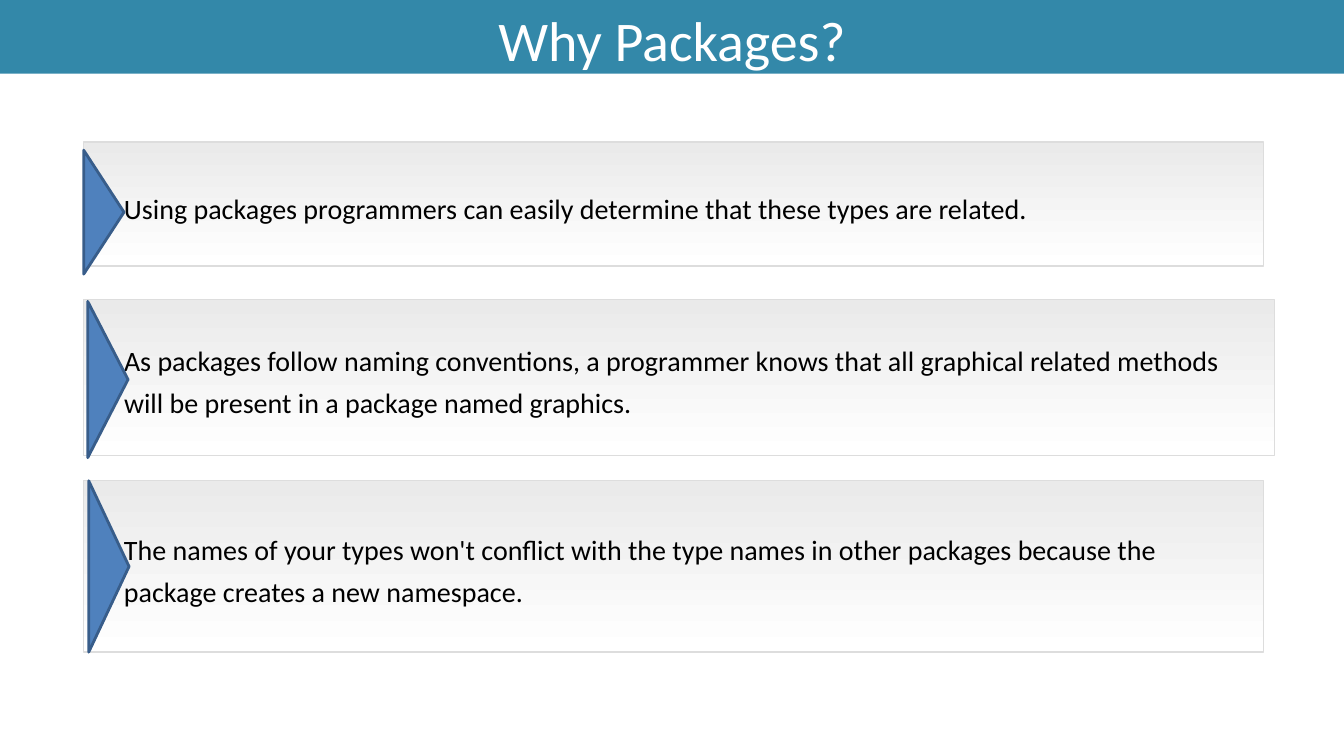
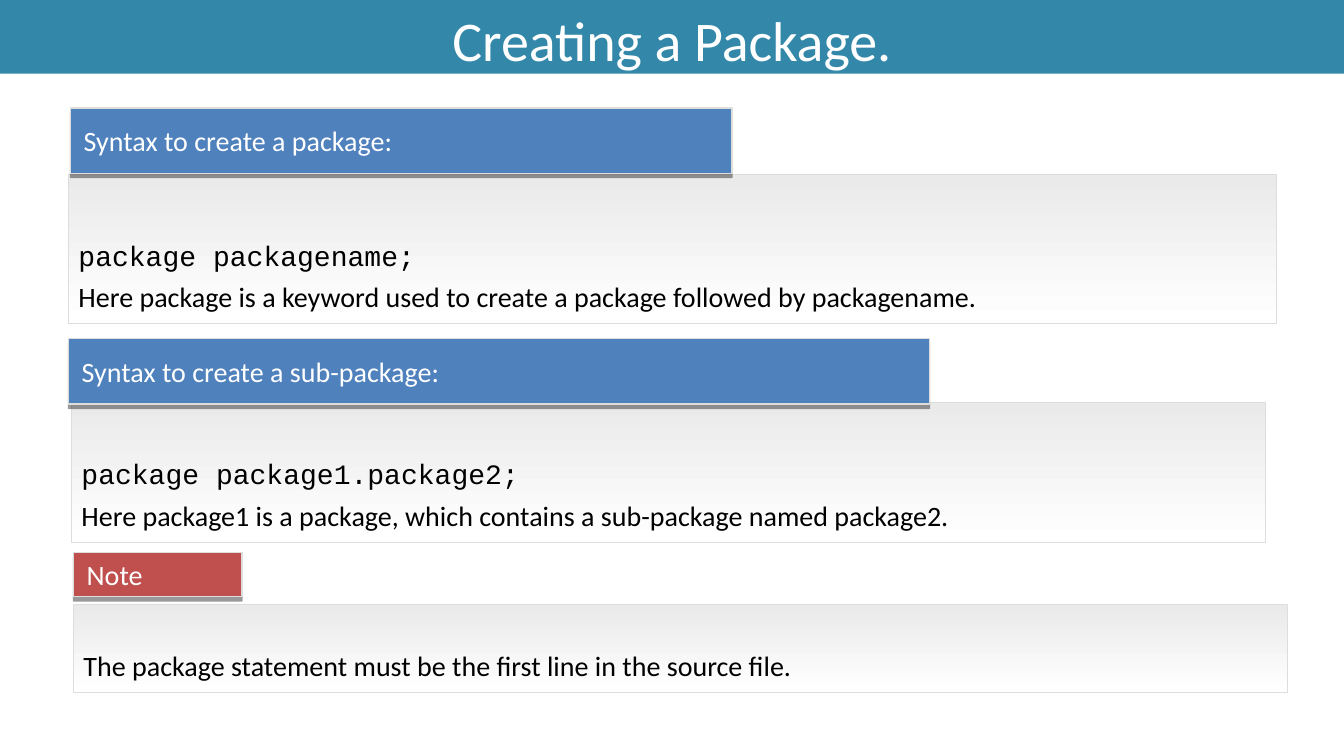
from lxml import etree
from pptx import Presentation
from pptx.dml.color import RGBColor
from pptx.enum.shapes import MSO_SHAPE
from pptx.enum.text import MSO_ANCHOR, MSO_AUTO_SIZE, PP_ALIGN
from pptx.oxml.ns import qn
from pptx.util import Emu, Pt

RECT, TRIANGLE = MSO_SHAPE.RECTANGLE, MSO_SHAPE.ISOSCELES_TRIANGLE
MIDDLE, BOTTOM = MSO_ANCHOR.MIDDLE, MSO_ANCHOR.BOTTOM
LEFT, CENTER = PP_ALIGN.LEFT, PP_ALIGN.CENTER
NO_AUTOFIT = MSO_AUTO_SIZE.NONE

EMU_PER_PX = 9144  # 100 px to the inch
SLIDE_W, SLIDE_H, BAND_H = 1333, 750, 73
TITLE_ONLY = 5

TEAL, BLUE, NAVY, RED = "3388A9", "4F81BD", "385D8A", "C0504D"
WHITE, BLACK, PALE, GREY = "FFFFFF", "000000", "EAEAEA", "DDDDDD"
SANS, MONO = "Calibri", "Courier New"
LINE_SPACING = Pt(29.9)
ARROW_W = 40

# box (left, top, width, height), arrow offset (x, y), text
REASONS = [
    ((83, 141, 1170, 123), (0, 8),
     "Using packages programmers can easily determine that these types are related."),
    ((83, 297, 1181, 155), (4, 2),
     "As packages follow naming conventions, a programmer knows that all graphical "
     "related methods will be present in a package named graphics."),
    ((83, 477, 1170, 170), (5, 0),
     "The names of your types won't conflict with the type names in other packages "
     "because the package creates a new namespace."),
]

# label box, label colour, label, card box, card lines with their fonts
SECTIONS = [
    ((70, 107, 656, 65), BLUE, "Syntax to create a package:", (68, 173, 1198, 148),
     [("package packagename;", MONO),
      ("Here package is a keyword used to create a package followed by packagename.", SANS)]),
    ((68, 336, 854, 65), BLUE, "Syntax to create a sub-package:", (71, 399, 1184, 139),
     [("package package1.package2;", MONO),
      ("Here package1 is a package, which contains a sub-package named package2.", SANS)]),
    ((73, 548, 167, 44), RED, "Note", (73, 600, 1204, 87),
     [("The package statement must be the first line in the source file.", SANS)]),
]


def px(n):
    return Emu(round(n * EMU_PER_PX))


def rgb(color):
    return RGBColor.from_string(color)


def set_solid(sp, color):
    sp.fill.solid()
    sp.fill.fore_color.rgb = rgb(color)


def set_gradient(sp, top, bottom):
    sp.fill.gradient()
    sp.fill.gradient_angle = 270
    for stop, color in zip(sp.fill.gradient_stops, (top, bottom)):
        stop.color.rgb = rgb(color)


def set_text(sp, lines, color, size=20, insets=(0, 0, 0, 0), anchor=MIDDLE,
             align=LEFT, spacing=None):
    """Fill a shape with (text, font) lines; insets are left, top, right, bottom."""
    tf = sp.text_frame
    frame = {"word_wrap": True, "auto_size": NO_AUTOFIT, "vertical_anchor": anchor}
    sides = ("margin_left", "margin_top", "margin_right", "margin_bottom")
    frame.update(zip(sides, map(px, insets)))
    for name, value in frame.items():
        setattr(tf, name, value)
    for i, (text, font) in enumerate(lines):
        p = tf.paragraphs[0] if i == 0 else tf.add_paragraph()
        p.alignment, p.line_spacing = align, spacing
        r = p.add_run()
        r.text = text
        for name, value in {"name": font, "size": Pt(size)}.items():
            setattr(r.font, name, value)
        r.font.color.rgb = rgb(color)


def add_shape(slide, kind, box, line, width=1):
    sp = slide.shapes.add_shape(kind, *map(px, box))
    sp.shadow.inherit = False
    sp.line.color.rgb = rgb(line)
    sp.line.width = Pt(width)
    return sp


def add_drop_shadow(sp):
    effects = sp._element.spPr.find(qn("a:effectLst"))
    shadow = etree.SubElement(effects, qn("a:outerShdw"), blurRad="0",
                              dist=str(Pt(3)), dir="5400000", rotWithShape="0")
    color = etree.SubElement(shadow, qn("a:srgbClr"), val=BLACK)
    etree.SubElement(color, qn("a:alpha"), val="40000")


def add_titled_slide(prs, title):
    slide = prs.slides.add_slide(prs.slide_layouts[TITLE_ONLY])
    sp = slide.shapes.title
    sp.left, sp.top, sp.width, sp.height = map(px, (0, 0, SLIDE_W, BAND_H))
    set_solid(sp, TEAL)
    set_text(sp, [(title, SANS)], WHITE, size=40, insets=(10, 5, 10, 0), align=CENTER)
    return slide


def add_card(slide, box, lines, anchor, left_inset=10):
    sp = add_shape(slide, RECT, box, GREY)
    set_gradient(sp, PALE, WHITE)
    set_text(sp, lines, BLACK, insets=(left_inset, 10, 10, 10), anchor=anchor,
             spacing=LINE_SPACING)


def add_arrow(slide, left, top, height):
    """Triangle pointing right, turned about its centre."""
    box = (left + (ARROW_W - height) / 2, top + (height - ARROW_W) / 2, height, ARROW_W)
    sp = add_shape(slide, TRIANGLE, box, NAVY, 2)
    sp.rotation = 90
    set_solid(sp, BLUE)


def add_label(slide, box, color, text):
    sp = add_shape(slide, RECT, box, GREY)
    set_solid(sp, color)
    add_drop_shadow(sp)
    set_text(sp, [(text, SANS)], WHITE, insets=(13, 0, 0, 0))


def main():
    prs = Presentation()
    prs.slide_width, prs.slide_height = px(SLIDE_W), px(SLIDE_H)

    slide = add_titled_slide(prs, "Why Packages?")
    for box, (dx, dy), text in REASONS:
        add_card(slide, box, [(text, SANS)], MIDDLE, left_inset=ARROW_W)
        left, top, _, height = box
        add_arrow(slide, left + dx, top + dy, height)

    slide = add_titled_slide(prs, "Creating a Package.")
    for label_box, color, label, card_box, lines in SECTIONS:
        add_card(slide, card_box, lines, BOTTOM)
        add_label(slide, label_box, color, label)

    prs.save("out.pptx")


if __name__ == "__main__":
    main()
